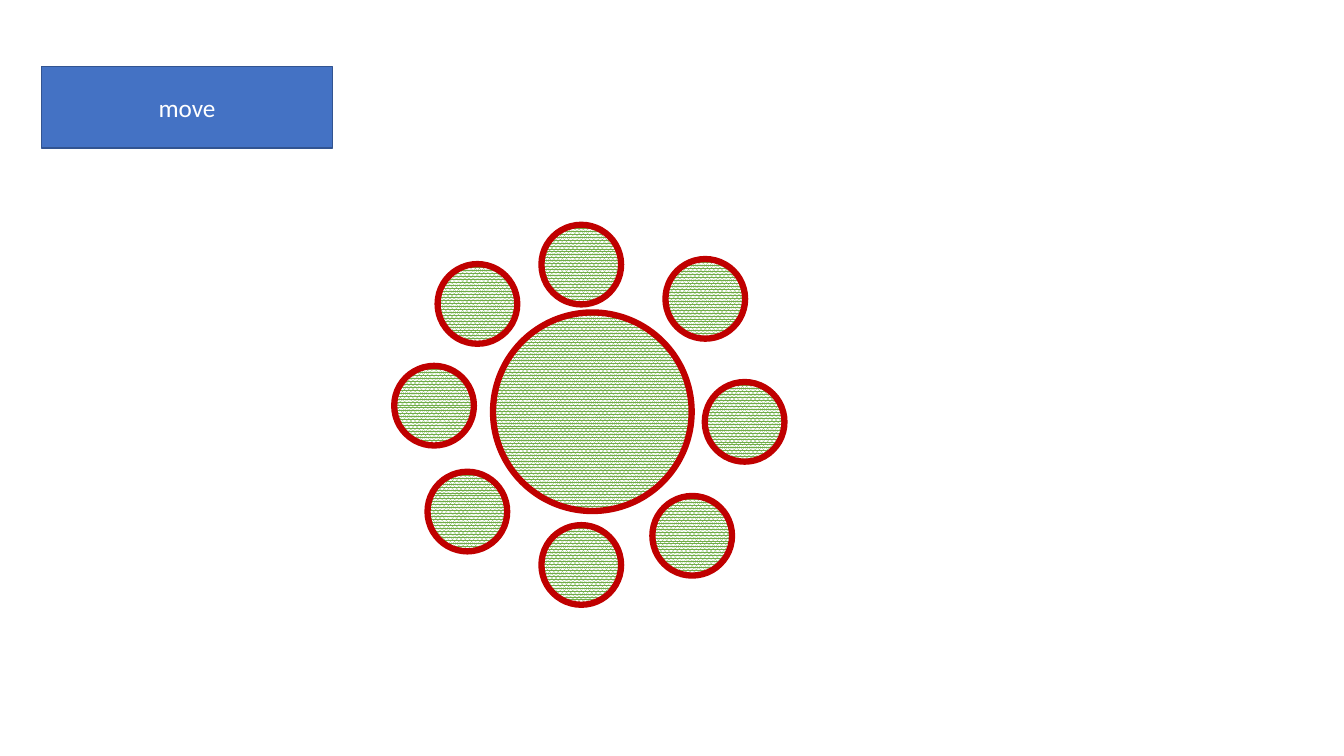
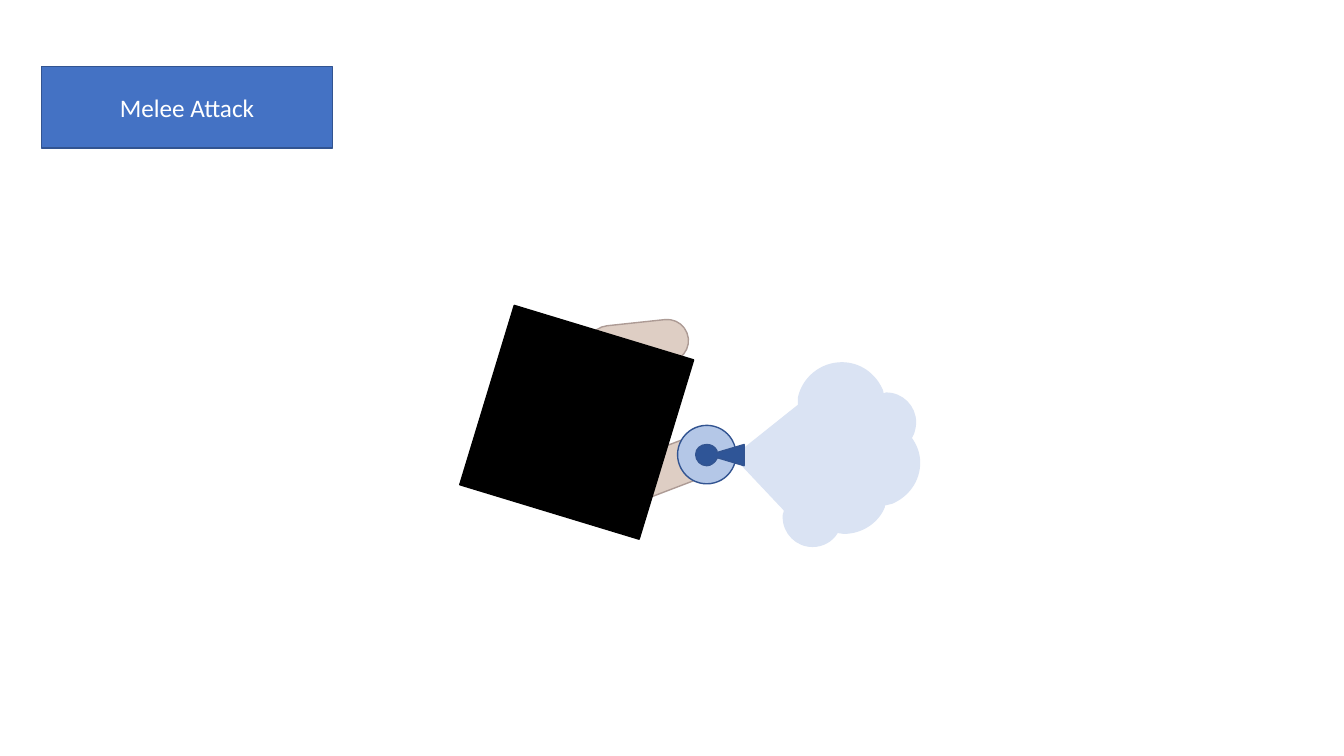
from lxml import etree
from pptx import Presentation
from pptx.dml.color import RGBColor
from pptx.enum.dml import MSO_PATTERN
from pptx.enum.shapes import MSO_SHAPE
from pptx.enum.text import MSO_ANCHOR, PP_ALIGN
from pptx.oxml.ns import qn
from pptx.util import Inches, Pt

ELLIPSE = MSO_SHAPE.OVAL
RECT = MSO_SHAPE.RECTANGLE
ROUND_RECT = MSO_SHAPE.ROUNDED_RECTANGLE
DENSE_DOTS = MSO_PATTERN.PERCENT_80
MIDDLE = MSO_ANCHOR.MIDDLE
CENTER = PP_ALIGN.CENTER

WHITE = RGBColor(0xFF, 0xFF, 0xFF)
BLACK = RGBColor(0x00, 0x00, 0x00)
BLUE = RGBColor(0x44, 0x72, 0xC4)
OUTLINE_BLUE = RGBColor(0x32, 0x54, 0x91)
DARK_BLUE = RGBColor(0x2F, 0x55, 0x97)
LIGHT_BLUE = RGBColor(0xB4, 0xC7, 0xE7)
PALE_BLUE = RGBColor(0xDA, 0xE3, 0xF3)
GREEN = RGBColor(0x70, 0xAD, 0x47)
RED = RGBColor(0xC0, 0x00, 0x00)
SKIN = RGBColor(0xDE, 0xCE, 0xC4)
SKIN_EDGE = RGBColor(0xAD, 0x9B, 0x95)

LABEL_BOX = {"left": Inches(0.41), "top": Inches(0.66),
             "width": Inches(2.89), "height": Inches(0.81)}
LABEL_FONT = {"name": "Calibri", "size": Pt(18), "bold": False}
LABEL_FRAME = {"vertical_anchor": MIDDLE, "word_wrap": True}

CORE_SIZE, CORE_OFFSET = 1.97, (0.98, 0.87)
SATELLITE_SIZE = 0.79
SATELLITES = [(0.43, 0.39), (1.46, 0), (2.69, 0.34), (3.08, 1.56),
              (2.56, 2.69), (1.46, 2.98), (0.33, 2.45), (0, 1.4)]

ARMS = [(1.04, 0, 353.9), (1.26, 1.26, 339.1)]

CLOUD = [
    [(1.07, 0)],
    [(1.25, 0), (1.4, 0.11), (1.47, 0.27)],
    [(1.48, 0.31)], [(1.51, 0.3)],
    [(1.67, 0.3), (1.8, 0.43), (1.8, 0.59)],
    [(1.8, 0.63), (1.79, 0.67), (1.78, 0.7)],
    [(1.76, 0.74)], [(1.76, 0.75)],
    [(1.81, 0.82), (1.84, 0.9), (1.84, 0.99)],
    [(1.84, 1.17), (1.73, 1.32), (1.57, 1.39)],
    [(1.49, 1.41)], [(1.49, 1.43)],
    [(1.43, 1.58), (1.27, 1.69), (1.09, 1.69)],
    [(1.02, 1.68)], [(1.02, 1.69)],
    [(0.97, 1.77), (0.88, 1.82), (0.78, 1.82)],
    [(0.62, 1.82), (0.49, 1.69), (0.49, 1.53)],
    [(0.49, 1.51), (0.49, 1.49), (0.5, 1.48)],
    [(0.5, 1.46)], [(0, 0.93)], [(0.64, 0.42)], [(0.64, 0.35)],
    [(0.68, 0.15), (0.86, 0), (1.07, 0)],
]
NOZZLE = [
    [(0.48, 0)], [(0.48, 0.21)], [(0.21, 0.13)], [(0.21, 0.14)],
    [(0.19, 0.18), (0.15, 0.21), (0.11, 0.21)],
    [(0.05, 0.21), (0, 0.16), (0, 0.1)],
    [(0, 0.04), (0.05, 0), (0.11, 0)],
    [(0.15, 0), (0.19, 0.02), (0.21, 0.06)],
    [(0.21, 0.08)],
]


def paint(shape, fill, edge, weight=1):
    """Give a shape a solid fill and an outline."""
    shape.fill.solid()
    shape.fill.fore_color.rgb = fill
    shape.line.color.rgb = edge
    shape.line.width = Pt(weight)


def add_part(slide, kind, left, top, width, height, rotation=0):
    """Add a shadowless preset shape measured in inches."""
    part = slide.shapes.add_shape(
        kind, Inches(left), Inches(top), Inches(width), Inches(height))
    part.shadow.inherit = False
    part.rotation = rotation
    return part


def add_outline(slide, segments, left, top):
    """Add a closed freeform of lines and cubic curves at left and top."""
    ends = [(Inches(left + x), Inches(top + y))
            for x, y in (segment[-1] for segment in segments)]
    builder = slide.shapes.build_freeform(*ends[0])
    builder.add_line_segments(ends[1:], close=True)
    outline = builder.convert_to_shape()
    outline.shadow.inherit = False
    strokes = list(outline.element.iter(qn("a:lnTo")))
    for stroke, segment in zip(strokes, segments[1:]):
        if len(segment) == 1:
            continue
        curve = etree.Element(qn("a:cubicBezTo"))
        for x, y in segment:
            etree.SubElement(curve, qn("a:pt"),
                             x=str(int(Inches(x))), y=str(int(Inches(y))))
        stroke.getparent().replace(stroke, curve)
    return outline


def add_labelled_slide(deck, wording):
    """Add a slide whose title is a blue label box."""
    slide = deck.slides.add_slide(deck.slide_layouts[5])
    label = slide.shapes.title
    for name, value in LABEL_BOX.items():
        setattr(label, name, value)
    paint(label, BLUE, OUTLINE_BLUE)
    frame = label.text_frame
    frame.text = wording
    for name, value in LABEL_FRAME.items():
        setattr(frame, name, value)
    line = frame.paragraphs[0]
    line.alignment = CENTER
    font = line.runs[0].font
    for name, value in LABEL_FONT.items():
        setattr(font, name, value)
    font.color.rgb = WHITE
    return slide


def add_dotted_circle(slide, left, top, size):
    """Add a green dotted circle with a thick red rim."""
    circle = add_part(slide, ELLIPSE, left, top, size, size)
    paint(circle, GREEN, RED, 4.5)
    circle.fill.patterned()
    circle.fill.pattern = DENSE_DOTS
    circle.fill.fore_color.rgb = GREEN
    circle.fill.back_color.rgb = WHITE


def add_cluster(slide, left, top):
    """Place a large circle with its ring of satellites."""
    core_x, core_y = CORE_OFFSET
    add_dotted_circle(slide, left + core_x, top + core_y, CORE_SIZE)
    for x, y in SATELLITES:
        add_dotted_circle(slide, left + x, top + y, SATELLITE_SIZE)


def add_sprayer(slide, left, top):
    """Place the square figure, its arms, the sprayer and the cloud."""
    paint(add_outline(slide, CLOUD, left + 2.49, top + 0.4),
          PALE_BLUE, PALE_BLUE)
    for x, y, angle in ARMS:
        arm = add_part(slide, ROUND_RECT, left + x, top + y, 1, 0.42, angle)
        arm.adjustments[0] = 0.5
        paint(arm, SKIN, SKIN_EDGE)
    body = add_part(slide, RECT, left, top + 0.06, 1.86, 1.86, 16.9)
    paint(body, BLACK, BLACK)
    can = add_part(slide, ELLIPSE, left + 1.93, top + 1.02, 0.58, 0.58)
    paint(can, LIGHT_BLUE, OUTLINE_BLUE)
    paint(add_outline(slide, NOZZLE, left + 2.11, top + 1.21),
          DARK_BLUE, OUTLINE_BLUE)


def main():
    """Build and save both slides."""
    deck = Presentation()
    deck.slide_width, deck.slide_height = Inches(13.33), Inches(7.5)
    add_cluster(add_labelled_slide(deck, "move"), 3.91, 2.23)
    add_sprayer(add_labelled_slide(deck, "Melee Attack"), 4.79, 3.2)
    deck.save("out.pptx")


if __name__ == "__main__":
    main()
